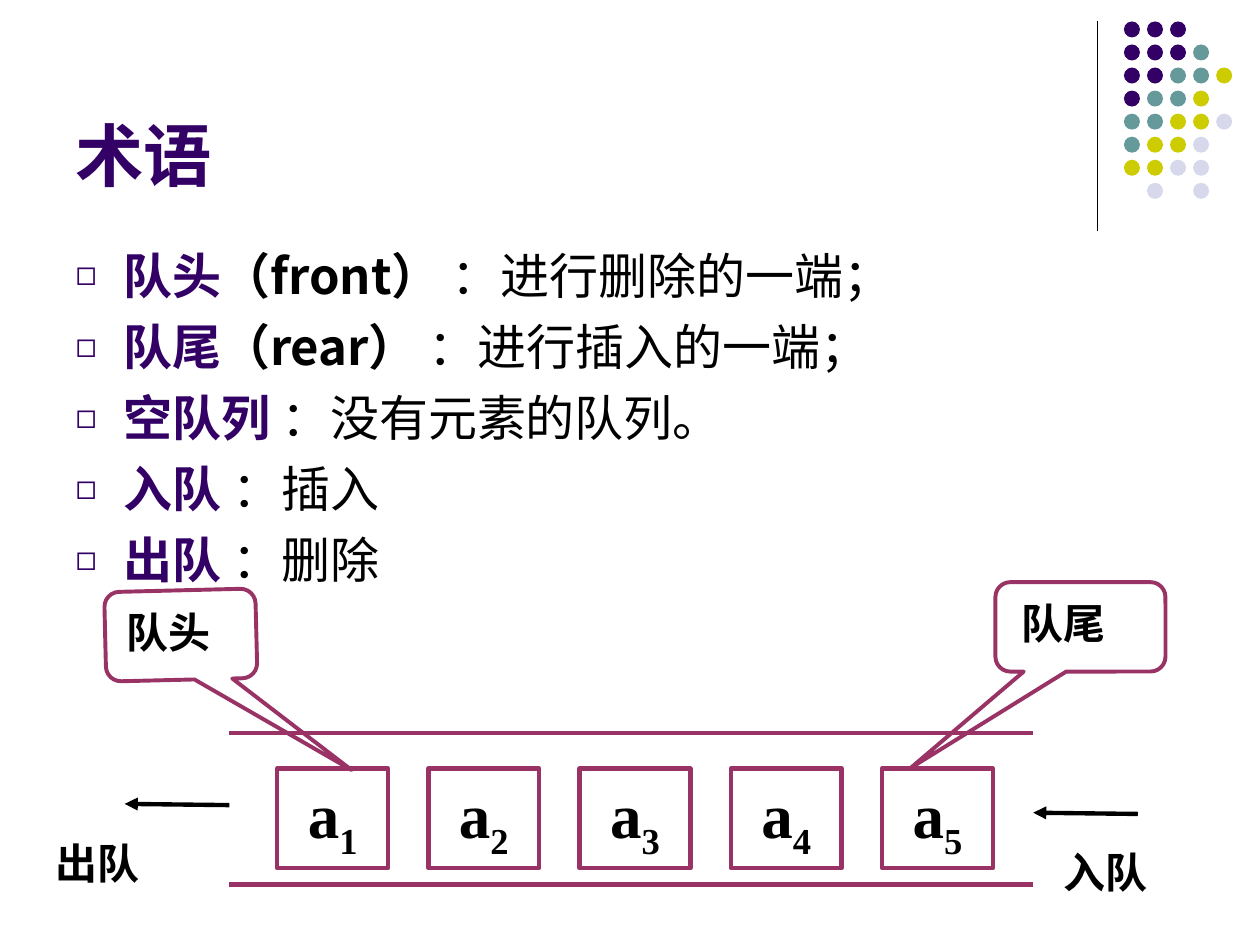
"""Build the queue terminology slide on a grid of 100 columns by 75 rows."""
from lxml import etree
from pptx import Presentation
from pptx import util as u
from pptx.dml.color import RGBColor
from pptx.enum import shapes, text
from pptx.oxml.ns import qn

COLORS = {"purple": "330066", "teal": "669999", "lime": "CCCC00", "mist": "D8D8EC",
          "plum": "993366", "black": "000000", "white": "FFFFFF"}
RGB = {name: RGBColor.from_string(value) for name, value in COLORS.items()}
CJK = "Noto Sans CJK SC"

prs = Presentation()
prs.slide_width, prs.slide_height = u.Inches(10), u.Inches(7.5)
cell = prs.slide_width / 100
s = prs.slides.add_slide(prs.slide_layouts[1])


def write(p, content, color, **fmt):
    r = p.add_run()
    r.text = content
    for key, value in fmt.items():
        setattr(r.font, key, value)
    r.font.color.rgb = RGB[color]
    etree.SubElement(r.font._element, qn("a:ea"), typeface=CJK)
    return r


def connect(x1, y1, x2, y2, color, width, arrow=False):
    ends = [int(v * cell) for v in (x1, y1, x2, y2)]
    sp = s.shapes.add_connector(shapes.MSO_CONNECTOR.STRAIGHT, *ends)
    sp.line.color.rgb = RGB[color]
    sp.line.width = u.Pt(width)
    if arrow:
        etree.SubElement(sp.line._get_or_add_ln(), qn("a:tailEnd"), type="triangle")
    etree.SubElement(sp._element.spPr, qn("a:effectLst"))


connect(87.1, 1.7, 87.1, 18.3, "black", 0.75)
dot_colors = {"P": "purple", "T": "teal", "Y": "lime", "L": "mist"}
dot_rows = ["PPP", "PPPT", "PPTTY", "PTTY", "TTYYL", "TYYL", "YYLL", "-L-L"]
pitch, dot = 1.83, 1.27
for row, letters in enumerate(dot_rows):
    for col, letter in enumerate(letters):
        if letter in dot_colors:
            at = (89.2 + col * pitch, 1.7 + row * pitch, dot, dot)
            sp = s.shapes.add_shape(shapes.MSO_SHAPE.OVAL, *(int(v * cell) for v in at))
            sp.shadow.inherit = False
            sp.fill.solid()
            sp.fill.fore_color.rgb = RGB[dot_colors[letter]]
            sp.line.fill.background()

title, body = s.shapes.title, s.placeholders[1]
for sp, at in ((title, (5, 1.3, 82.5, 14.2)), (body, (5, 19, 90, 48.2))):
    for key, value in zip(("left", "top", "width", "height"), at):
        setattr(sp, key, int(value * cell))
    sp.text_frame.auto_size = text.MSO_AUTO_SIZE.NONE

tf = title.text_frame
tf.vertical_anchor = text.MSO_ANCHOR.BOTTOM
tf.margin_bottom = 0
p = tf.paragraphs[0]
p.alignment = text.PP_ALIGN.LEFT
write(p, "术语", "purple", size=u.Pt(39), name="Arial", bold=True)

terms = [("队头", "（front）", " ：进行删除的一端；"),
         ("队尾", "（rear）", " ：进行插入的一端；"),
         ("空队列 ", "", "：没有元素的队列。"),
         ("入队 ", "", "：插入"),
         ("出队 ", "", "：删除")]
tf = body.text_frame
for i, (term, english, meaning) in enumerate(terms):
    p = tf.add_paragraph() if i else tf.paragraphs[0]
    pPr = p._p.get_or_add_pPr()
    pPr.set("marL", str(u.Inches(0.38)))
    pPr.set("indent", str(-u.Inches(0.38)))
    bullet_color = etree.SubElement(pPr, qn("a:buClr"))
    etree.SubElement(bullet_color, qn("a:srgbClr"), val=COLORS["purple"])
    etree.SubElement(pPr, qn("a:buSzPct"), val="70000")
    etree.SubElement(pPr, qn("a:buChar"), char="◻")
    p.line_spacing = u.Pt(33.6)
    p.space_before = u.Pt(7 if i else 0)
    write(p, term, "purple", size=u.Pt(28), name=CJK, bold=True)
    if english:
        write(p, english, "black", size=u.Pt(28), name=CJK, bold=True)
    write(p, meaning, "black", size=u.Pt(28), name="Arial", bold=False)

serif = {"name": "Times New Roman", "bold": True}
for i in range(5):
    at = (22 + 12 * i, 61, 8.8, 7.9)
    sp = s.shapes.add_shape(shapes.MSO_SHAPE.RECTANGLE, *(int(v * cell) for v in at))
    sp.shadow.inherit = False
    sp.fill.solid()
    sp.fill.fore_color.rgb = RGB["white"]
    sp.line.color.rgb = RGB["plum"]
    sp.line.width = u.Pt(2.5)
    p = sp.text_frame.paragraphs[0]
    p.alignment = text.PP_ALIGN.CENTER
    write(p, "a", "black", size=u.Pt(36), **serif)
    r = write(p, str(i + 1), "black", size=u.Pt(36), **serif)
    r.font._element.set("baseline", "-25000")

for y in (58.2, 70.2):
    connect(18.2, y, 82, y, "plum", 2.5)
for x, y in ((18.2, 63.9), (90.3, 64.6)):
    connect(x, y, x - 8.3, y - 0.1, "black", 2.5, arrow=True)

callouts = [((79, 46.2, 13.5, 7.1), 0, (-0.999, 1.579, 0.167)),
            ((10.8, 44.4, 7.1, 12), 268.6, (-1.556, 1.108, 0.167))]
for at, rotation, adjustments in callouts:
    sp = s.shapes.add_shape(shapes.MSO_SHAPE.ROUNDED_RECTANGULAR_CALLOUT,
                            *(int(v * cell) for v in at))
    sp.shadow.inherit = False
    sp.rotation = rotation
    for i, value in enumerate(adjustments):
        sp.adjustments[i] = value
    sp.fill.background()
    sp.line.color.rgb = RGB["plum"]
    sp.line.width = u.Pt(2.25)

labels = [("队尾", 80.1, 46.9, 13.2), ("队头", 9.1, 47.6, 14),
          ("入队", 83.4, 66.7, 13.2), ("出队", 3.4, 66, 13.2)]
for label, x, y, width in labels:
    sp = s.shapes.add_textbox(*(int(v * cell) for v in (x, y, width, 5)))
    tf = sp.text_frame
    tf.word_wrap = True
    tf.vertical_anchor = text.MSO_ANCHOR.MIDDLE
    write(tf.paragraphs[0], label, "black", size=u.Pt(24), **serif)

prs.save("out.pptx")
